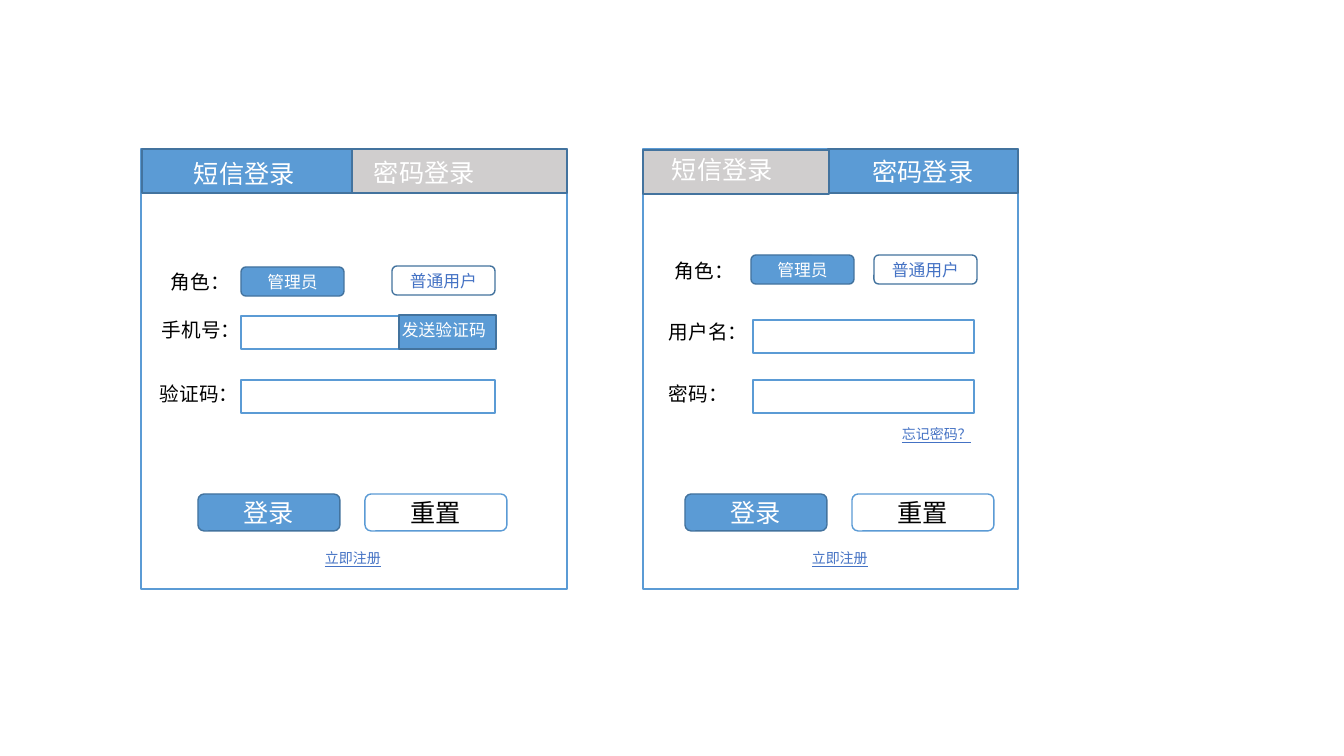
from pptx import Presentation
from pptx.dml.color import RGBColor
from pptx.enum.shapes import MSO_SHAPE
from pptx.enum.text import MSO_ANCHOR, PP_ALIGN
from pptx.oxml.ns import qn
from pptx.util import Pt

RECT, ROUND = MSO_SHAPE.RECTANGLE, MSO_SHAPE.ROUNDED_RECTANGLE
MIDDLE, CENTER = MSO_ANCHOR.MIDDLE, PP_ALIGN.CENTER
PX = 914400 / 100.8
FONT = "Arial"
BLUE, EDGE, GREY, LINK = "5B9BD5", "43739E", "D0CECE", "4472C4"
WHITE, BLACK = "FFFFFF", "000000"
BOX_HEIGHT = {10: 27, 12: 30, 14: 34, 18: 40}

FORMS = [
    {
        "panel": (141, 149, 426, 440),
        "tabs": [((142, 149, 215, 44), BLUE, ""), ((352, 149, 215, 44), GREY, "")],
        "tab_titles": [("短信登录", 184, 153), ("密码登录", 364, 152)],
        "labels": [("角色：", 161, 265), ("手机号：", 152, 313), ("验证码：", 150, 377)],
        "roles": [("管理员", 241, 267), ("普通用户", 392, 266)],
        "fields": [(241, 316, 254, 33), (241, 380, 254, 33)],
        "send_code": ("发送验证码", (399, 315, 97, 34), 392),
        "buttons_x": 198,
    },
    {
        "panel": (643, 149, 375, 440),
        "tabs": [((828, 149, 190, 44), BLUE, "密码登录"), ((643, 150, 186, 44), GREY, "")],
        "tab_titles": [("短信登录", 662, 149)],
        "labels": [("角色：", 665, 254), ("用户名：", 659, 315), ("密码：", 659, 377)],
        "roles": [("管理员", 751, 255), ("普通用户", 874, 255)],
        "fields": [(753, 320, 221, 33), (753, 380, 221, 33)],
        "forgot": ("忘记密码？", 892, 421),
        "buttons_x": 685,
    },
]
BUTTONS = [("登录", BLUE, EDGE, WHITE), ("重置", WHITE, BLUE, BLACK)]
BUTTON_Y, BUTTON_STEP = 494, 167
REGISTER, REGISTER_DX, REGISTER_Y = "立即注册", 117, 545
ROLE_STYLES = [(BLUE, WHITE), (None, LINK)]


def rgb(value):
    return RGBColor.from_string(value)


def emu(box):
    return [round(v * PX) for v in box]


def write(tf, text, size, color, underline=None):
    tf.text = text
    font = tf.paragraphs[0].runs[0].font
    font.name, font.size, font.underline = FONT, Pt(size), underline
    font.color.rgb = rgb(color)
    rpr = tf.paragraphs[0].runs[0]._r.get_or_add_rPr()
    rpr.set("lang", "zh-CN")
    rpr.find(qn("a:latin")).set("typeface", FONT)


def shape(s, kind, box, fill, line, text="", size=18, color=WHITE):
    sp = s.shapes.add_shape(kind, *emu(box))
    sp.shadow.inherit = False
    if fill:
        sp.fill.solid()
        sp.fill.fore_color.rgb = rgb(fill)
    else:
        sp.fill.background()
    sp.line.color.rgb = rgb(line)
    sp.line.width = Pt(1)
    if text:
        write(sp.text_frame, text, size, color)
        sp.text_frame.vertical_anchor = MIDDLE
        sp.text_frame.paragraphs[0].alignment = CENTER


def label(s, text, x, y, size, color, underline=None):
    width = len(text) * size * 1.4 + 26
    tf = s.shapes.add_textbox(*emu((x, y, width, BOX_HEIGHT[size]))).text_frame
    tf.word_wrap = True
    write(tf, text, size, color, underline)


def draw_form(s, form):
    shape(s, RECT, form["panel"], None, BLUE)
    for box, fill, title in form["tabs"]:
        shape(s, RECT, box, fill, EDGE, title)
    for title, x, y in form["tab_titles"]:
        label(s, title, x, y, 18, WHITE)
    for text, x, y in form["labels"]:
        label(s, text, x, y, 14, BLACK)
    for (text, x, y), (fill, color) in zip(form["roles"], ROLE_STYLES):
        shape(s, ROUND, (x, y, 103, 29), fill, EDGE, text, 12, color)
    for box in form["fields"]:
        shape(s, RECT, box, None, BLUE)
    if "send_code" in form:
        text, box, text_x = form["send_code"]
        shape(s, RECT, box, BLUE, EDGE)
        label(s, text, text_x, box[1], 12, WHITE)
    if "forgot" in form:
        label(s, *form["forgot"], 10, LINK, True)
    x = form["buttons_x"]
    for i, (text, fill, line, color) in enumerate(BUTTONS):
        box = (x + i * BUTTON_STEP, BUTTON_Y, 142, 37)
        shape(s, ROUND, box, fill, line, text, 18, color)
    label(s, REGISTER, x + REGISTER_DX, REGISTER_Y, 10, LINK, True)


def main():
    prs = Presentation()
    prs.slide_width, prs.slide_height = emu((1344, 756))
    s = prs.slides.add_slide(prs.slide_layouts[6])
    for form in FORMS:
        draw_form(s, form)
    prs.save("out.pptx")


if __name__ == "__main__":
    main()
